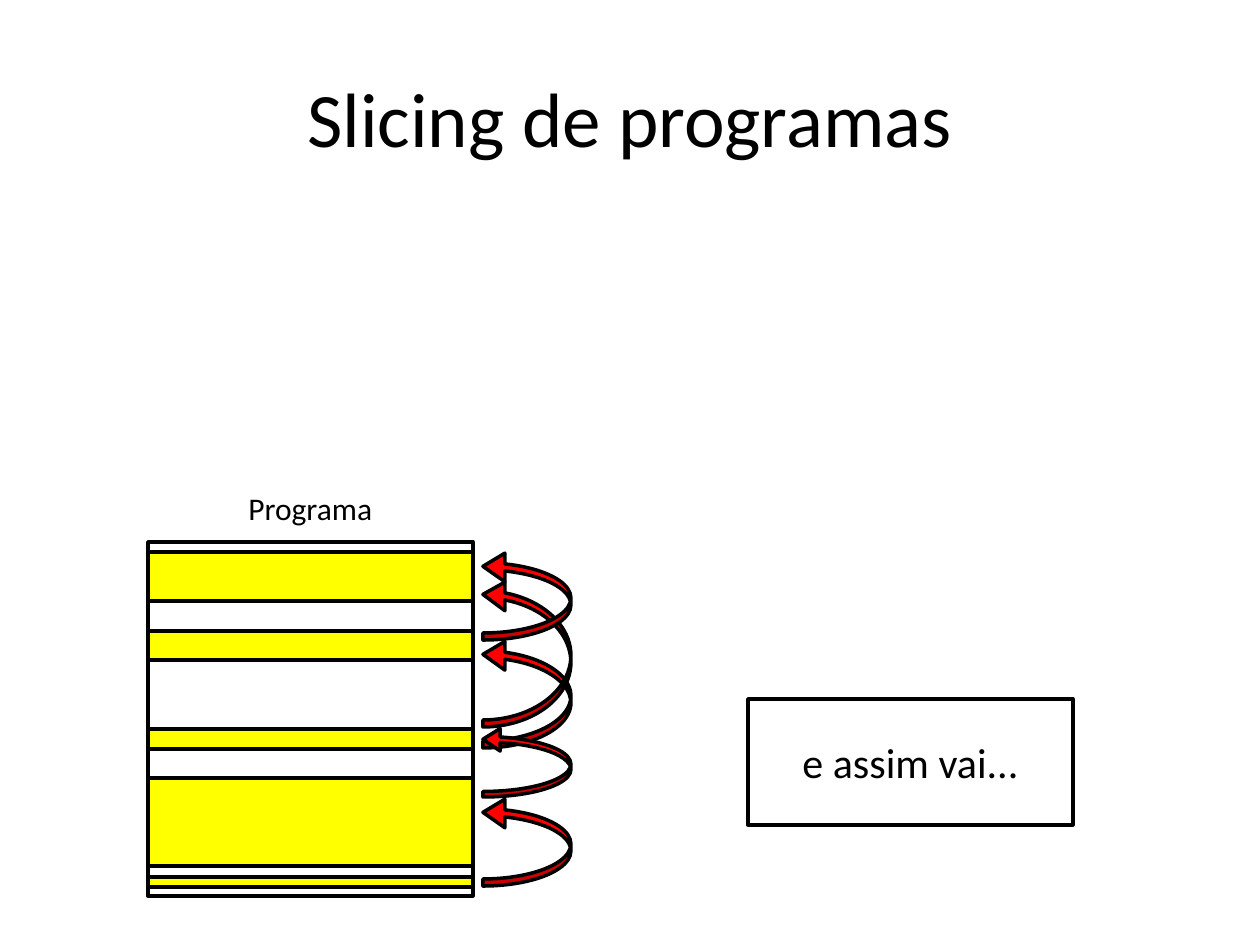
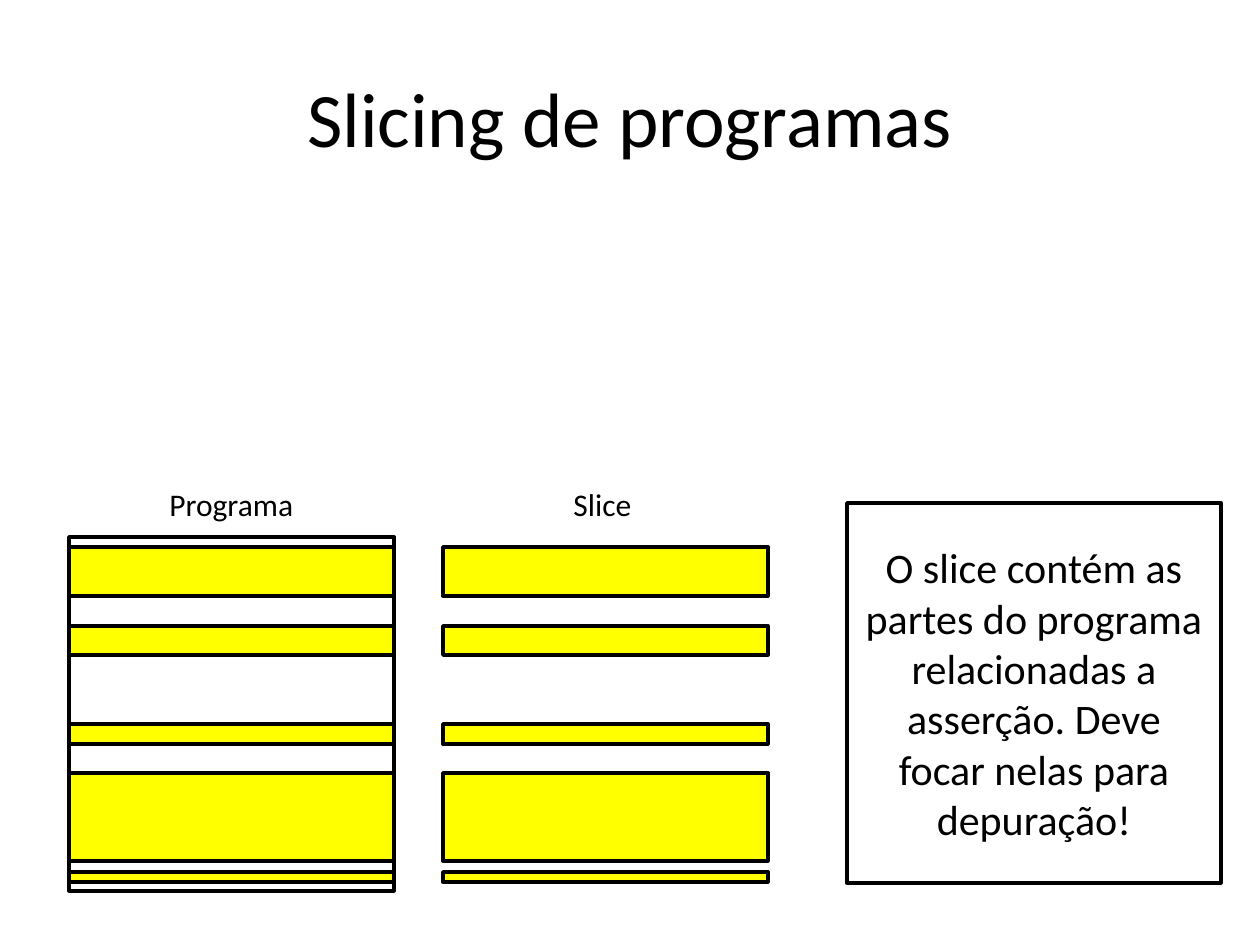
from pptx import Presentation
from pptx.dml.color import RGBColor
from pptx.enum.shapes import MSO_SHAPE
from pptx.enum.text import MSO_ANCHOR, MSO_AUTO_SIZE, PP_ALIGN
from pptx.util import Emu, Pt

PX = 914400 // 126
BLACK, WHITE, YELLOW, RED = "000000", "FFFFFF", "FFFF00", "FF0000"
FONT = "Calibri"
TITLE = "Slicing de programas"
COLUMN_W, PROGRAM_H = 325, 354
BANDS = [(10, 49), (89, 29), (187, 20), (236, 88), (335, 10)]
ARROW_X, ARROW_W = 483, 88
ARROWS = [(798, 88), (640, 108), (728, 69), (580, 147), (552, 88)]

SLIDES = [
    {
        "columns": [(148, 542, True)],
        "labels": [("Programa", 236, 483, 150)],
        "arrows": ARROWS,
        "note": ("e assim vai...", 748, 699, 325, 126, None),
    },
    {
        "columns": [(69, 537, True), (443, 537, False)],
        "labels": [("Programa", 157, 479, 150), ("Slice", 561, 479, 84)],
        "arrows": [],
        "note": ("O slice contém as partes do programa relacionadas a asserção. "
                 "Deve focar nelas para depuração!", 847, 503, 374, 380, WHITE),
    },
]


def rgb(value):
    return RGBColor.from_string(value)


def box(*lengths):
    return [Emu(round(n * PX)) for n in lengths]


def write(sp, text, size, align=PP_ALIGN.CENTER, anchor=MSO_ANCHOR.MIDDLE, wrap=True):
    tf = sp.text_frame
    tf.word_wrap = wrap
    tf.vertical_anchor = anchor
    p = tf.paragraphs[0]
    p.text = text
    p.alignment = align
    p.font.size = Pt(size)
    p.font.name = FONT
    p.font.color.rgb = rgb(BLACK)


def add_shape(slide, kind, x, y, w, h, fill):
    sp = slide.shapes.add_shape(kind, *box(x, y, w, h))
    sp.shadow.inherit = False
    if fill:
        sp.fill.solid()
        sp.fill.fore_color.rgb = rgb(fill)
    else:
        sp.fill.background()
    sp.line.color.rgb = rgb(BLACK)
    sp.line.width = Pt(2)
    return sp


def add_column(slide, x, y, framed):
    if framed:
        add_shape(slide, MSO_SHAPE.RECTANGLE, x, y, COLUMN_W, PROGRAM_H, WHITE)
    for offset, h in BANDS:
        add_shape(slide, MSO_SHAPE.RECTANGLE, x, y + offset, COLUMN_W, h, YELLOW)


def add_arrow(slide, top, span):
    shift = (span - ARROW_W) / 2
    sp = add_shape(slide, MSO_SHAPE.CURVED_UP_ARROW,
                   ARROW_X - shift, top + shift, span, ARROW_W, RED)
    sp.rotation = 270
    for i, value in enumerate((0.08, 0.326, 0.25)):
        sp.adjustments[i] = value


def add_label(slide, text, x, y, w):
    sp = slide.shapes.add_textbox(*box(x, y, w, 50))
    write(sp, text, 18, PP_ALIGN.LEFT, MSO_ANCHOR.TOP, False)
    sp.text_frame.auto_size = MSO_AUTO_SIZE.SHAPE_TO_FIT_TEXT


def build():
    """Build the program slicing slides and save them."""
    prs = Presentation()
    prs.slide_width, prs.slide_height = box(1260, 945)
    for content in SLIDES:
        slide = prs.slides.add_slide(prs.slide_layouts[6])
        write(slide.shapes.add_textbox(*box(63, 38, 1134, 157)), TITLE, 44)
        for column in content["columns"]:
            add_column(slide, *column)
        for arrow in content["arrows"]:
            add_arrow(slide, *arrow)
        text, x, y, w, h, fill = content["note"]
        write(add_shape(slide, MSO_SHAPE.RECTANGLE, x, y, w, h, fill), text, 24)
        for label in content["labels"]:
            add_label(slide, *label)
    prs.save("out.pptx")


build()
